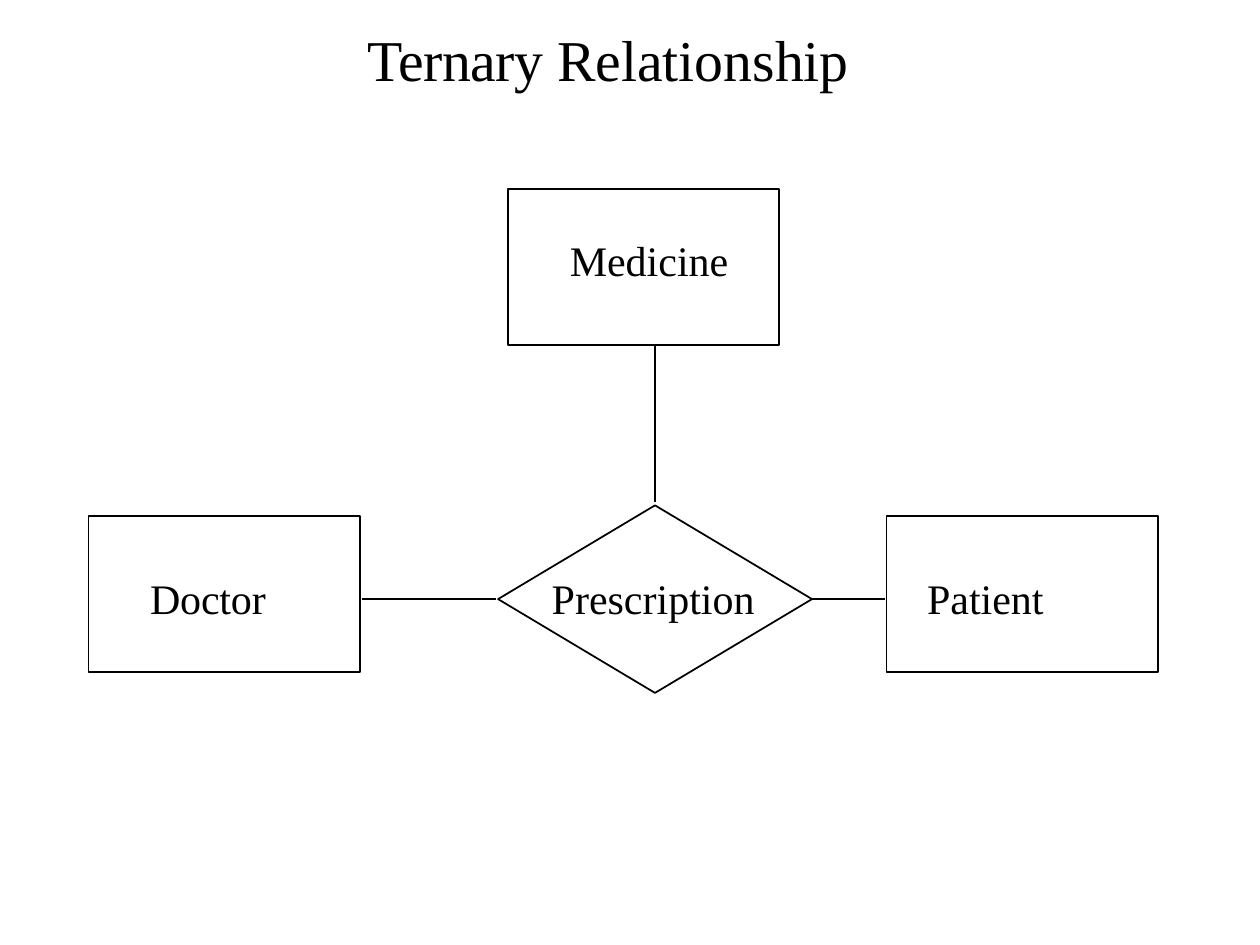
import pptx
import pptx.dml.color
import pptx.enum.shapes
import pptx.enum.text
import pptx.util

Pt = pptx.util.Pt
COLOURS = {"ink": "000000", "paper": "FFFFFF"}
INK = pptx.dml.color.RGBColor.from_string(COLOURS["ink"])

deck = pptx.Presentation()
deck.slide_width, deck.slide_height = Pt(720), Pt(540)
page = deck.slides.add_slide(deck.slide_layouts[6])
page.background.fill.solid()
page.background.fill.fore_color.rgb = pptx.dml.color.RGBColor.from_string(COLOURS["paper"])


def write(box, parts, size, left, top):
    """Put (wording, letter spacing) parts into a box, inset from its top left."""
    frame = box.text_frame
    layout = {
        "word_wrap": True,
        "vertical_anchor": pptx.enum.text.MSO_ANCHOR.TOP,
        "margin_left": Pt(left),
        "margin_top": Pt(top),
        "margin_right": 0,
        "margin_bottom": 0,
    }
    for name, value in layout.items():
        setattr(frame, name, value)
    para = frame.paragraphs[0]
    para.alignment = pptx.enum.text.PP_ALIGN.LEFT
    for wording, spacing in parts:
        span = para.add_run()
        span.text = wording
        for name, value in {"name": "Times New Roman", "size": Pt(size)}.items():
            setattr(span.font, name, value)
        span.font.color.rgb = INK
        if spacing:
            span._r.get_or_add_rPr().set("spc", str(round(spacing * 100)))


def outline(shape):
    shape.shadow.inherit = False
    shape.fill.background()
    shape.line.color.rgb = INK
    shape.line.width = Pt(1)


# Title
title = page.shapes.add_textbox(Pt(209.5), Pt(12.2), Pt(279.4), Pt(41.8))
write(title, [("Ternary ", -0.3), ("Relationship", 0)], 33, 0.7, 1.6)

# Relationship diamond
diamond = page.shapes.build_freeform(Pt(284.6), Pt(342.4))
diamond.add_line_segments(
    [(Pt(x), Pt(y)) for x, y in [(374.3, 288.8), (464, 342.4), (374.3, 396)]], close=True
)
outline(diamond.convert_to_shape())

# Links from the relationship to the entities, as one open outline
links = page.shapes.build_freeform(Pt(374.2), Pt(197.8))
links.add_line_segments([(Pt(374.2), Pt(287))], close=False)
for start, end in [(206.8, 283.6), (464, 505.6)]:
    links.move_to(Pt(start), Pt(342.4))
    links.add_line_segments([(Pt(end), Pt(342.4))], close=False)
outline(links.convert_to_shape())

# Entities: wording, letter spacing, box position, text inset
for wording, spacing, left, top, inset_left, inset_top in [
    ("Doctor", -0.1, 50.6, 295, 35.2, 32.2),
    ("Medicine", 0, 290.2, 108, 35.4, 26.1),
    ("Patient", 0, 506.6, 295, 23.2, 32.2),
]:
    entity = page.shapes.add_shape(
        pptx.enum.shapes.MSO_SHAPE.RECTANGLE, Pt(left), Pt(top), Pt(155), Pt(89.2)
    )
    outline(entity)
    write(entity, [(wording, spacing)], 24, inset_left, inset_top)

label = page.shapes.add_textbox(Pt(314.6), Pt(326.2), Pt(118.1), Pt(31))
write(label, [("Prescription", 0)], 24, 0.7, 1)

deck.save("out.pptx")
